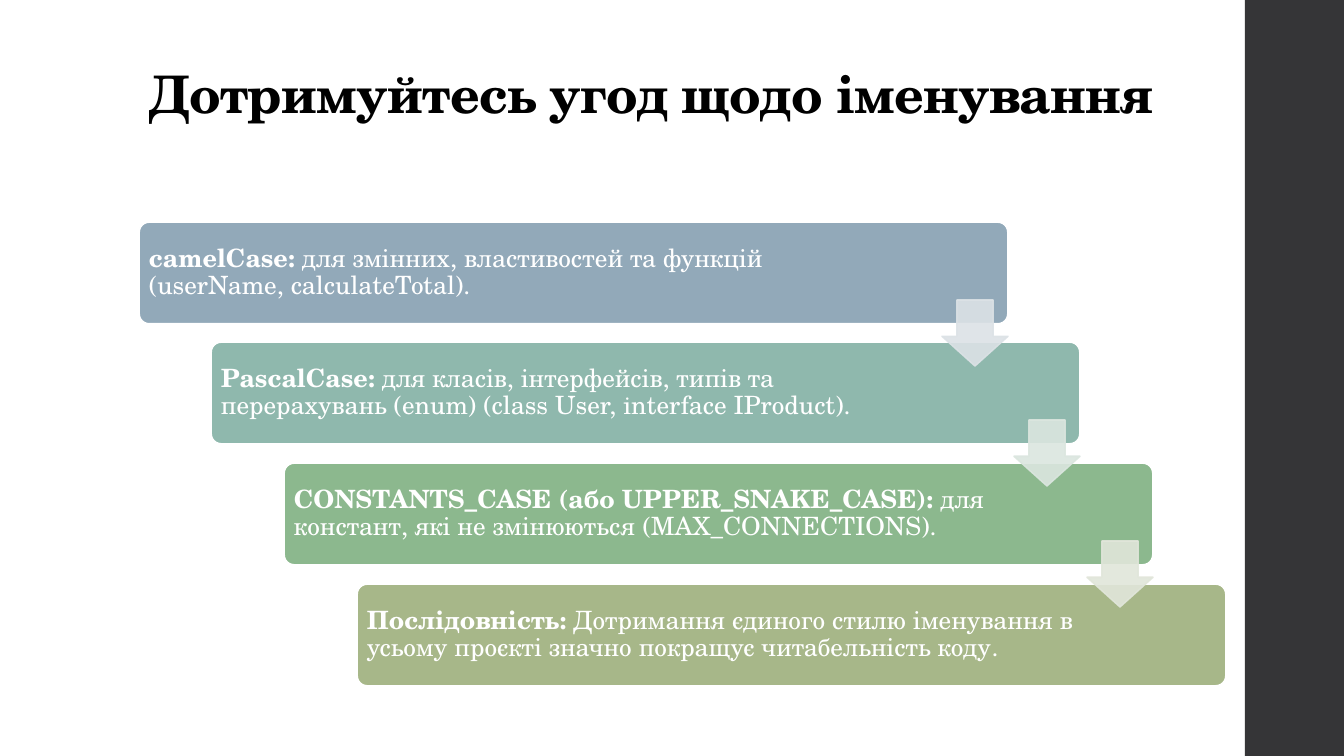
from dataclasses import dataclass

import lxml.etree
import pptx
import pptx.dml.color
import pptx.enum.shapes
import pptx.enum.text
import pptx.oxml.ns
import pptx.util

RGBColor = pptx.dml.color.RGBColor
MSO_SHAPE = pptx.enum.shapes.MSO_SHAPE

EMU_PER_PX = 914400 / 100.8
FONT = "TeX Gyre Schola"
WHITE = RGBColor(0xFF, 0xFF, 0xFF)
BLACK = RGBColor(0x00, 0x00, 0x00)
CHARCOAL = RGBColor(0x35, 0x35, 0x37)
BLUE_GREY = RGBColor(0x92, 0xA9, 0xB9)
TEAL = RGBColor(0x8F, 0xB8, 0xAD)
GREEN = RGBColor(0x8C, 0xB8, 0x8E)
OLIVE = RGBColor(0xA7, 0xB7, 0x89)
PALE_BLUE = RGBColor(0xDC, 0xE2, 0xE6)
PALE_TEAL = RGBColor(0xDB, 0xE6, 0xDF)
PALE_OLIVE = RGBColor(0xE1, 0xE6, 0xDA)

SLIDE_WIDTH, SLIDE_HEIGHT = 1344, 756
CARD_LEFT, CARD_TOP, CARD_WIDTH, CARD_HEIGHT = 139, 222, 869, 102
STAIRCASE_RUN, STAIRCASE_DROP = 218, 362
TEXT_INSET = 3
ARROW_DX, ARROW_DY, ARROW_SIZE = 803, 78, 66


@dataclass(frozen=True)
class Convention:
    term: str
    rule: str
    color: RGBColor
    text_width: int


CONVENTIONS = [
    Convention("camelCase: ", "для змінних, властивостей та функцій (userName, calculateTotal).",
               BLUE_GREY, 751),
    Convention("PascalCase: ",
               "для класів, інтерфейсів, типів та перерахувань (enum) (class User, interface IProduct).",
               TEAL, 725),
    Convention("CONSTANTS_CASE (або UPPER_SNAKE_CASE): ",
               "для констант, які не змінюються (MAX_CONNECTIONS).", GREEN, 726),
    Convention("Послідовність:",
               " Дотримання єдиного стилю іменування в усьому проєкті значно покращує читабельність коду.",
               OLIVE, 725),
]
ARROW_COLORS = [PALE_BLUE, PALE_TEAL, PALE_OLIVE]


def px(length: int) -> pptx.util.Emu:
    return pptx.util.Emu(round(length * EMU_PER_PX))


def card_origin(step: int) -> tuple[int, int]:
    last = len(CONVENTIONS) - 1
    return CARD_LEFT + step * STAIRCASE_RUN // last, CARD_TOP + step * STAIRCASE_DROP // last


def add_filled(slide: pptx.slide.Slide, kind: MSO_SHAPE, left: int, top: int,
               width: int, height: int, color: RGBColor) -> pptx.shapes.autoshape.Shape:
    shape = slide.shapes.add_shape(kind, px(left), px(top), px(width), px(height))
    shape.shadow.inherit = False
    shape.fill.solid()
    shape.fill.fore_color.rgb = color
    shape.line.fill.background()
    return shape


def outline(shape: pptx.shapes.autoshape.Shape, color: RGBColor, points: float) -> None:
    shape.line.color.rgb = color
    shape.line.width = pptx.util.Pt(points)


def style_run(run: pptx.text.text._Run, size: int, color: RGBColor, bold: bool) -> None:
    run.font.name = FONT
    run.font.size = pptx.util.Pt(size)
    run.font.color.rgb = color
    run.font.bold = bold


def add_title(slide: pptx.slide.Slide) -> None:
    title = slide.shapes.title
    title.left, title.top, title.width, title.height = px(139), px(40), px(1087), px(146)
    frame = title.text_frame
    frame.text = "Дотримуйтесь угод щодо іменування"
    frame.auto_size = pptx.enum.text.MSO_AUTO_SIZE.NONE
    frame.vertical_anchor = pptx.enum.text.MSO_ANCHOR.BOTTOM
    frame.margin_bottom = px(61)
    paragraph = frame.paragraphs[0]
    paragraph.alignment = pptx.enum.text.PP_ALIGN.LEFT
    paragraph.line_spacing = 0.9
    run = paragraph.runs[0]
    style_run(run, 37, BLACK, True)
    run.font._element.set("spc", "-50")


def add_card(slide: pptx.slide.Slide, step: int, convention: Convention) -> None:
    left, top = card_origin(step)
    card = add_filled(slide, MSO_SHAPE.ROUNDED_RECTANGLE, left, top,
                      CARD_WIDTH, CARD_HEIGHT, convention.color)
    card.adjustments[0] = 0.1
    outline(card, WHITE, 1.35)

    label = slide.shapes.add_textbox(px(left + TEXT_INSET), px(top + TEXT_INSET),
                                     px(convention.text_width), px(CARD_HEIGHT - 2 * TEXT_INSET))
    frame = label.text_frame
    frame.word_wrap = True
    frame.vertical_anchor = pptx.enum.text.MSO_ANCHOR.MIDDLE
    frame.margin_left = frame.margin_right = frame.margin_top = frame.margin_bottom = px(7)
    paragraph = frame.paragraphs[0]
    paragraph.text = convention.term
    paragraph.line_spacing = 0.9
    style_run(paragraph.runs[0], 18, WHITE, True)
    rule = paragraph.add_run()
    rule.text = convention.rule
    style_run(rule, 18, WHITE, False)


def add_arrow(slide: pptx.slide.Slide, step: int, color: RGBColor) -> None:
    left, top = card_origin(step)
    arrow = add_filled(slide, MSO_SHAPE.DOWN_ARROW, left + ARROW_DX, top + ARROW_DY,
                       ARROW_SIZE, ARROW_SIZE, color)
    arrow.adjustments[0] = 0.55
    arrow.adjustments[1] = 0.45
    outline(arrow, color, 1.1)
    for tint in arrow._element.spPr.iter(pptx.oxml.ns.qn("a:srgbClr")):
        lxml.etree.SubElement(tint, pptx.oxml.ns.qn("a:alpha"), val="90000")


def main() -> None:
    presentation = pptx.Presentation()
    presentation.slide_width, presentation.slide_height = px(SLIDE_WIDTH), px(SLIDE_HEIGHT)
    slide = presentation.slides.add_slide(presentation.slide_layouts.get_by_name("Title Only"))
    add_filled(slide, MSO_SHAPE.RECTANGLE, 1245, 0, SLIDE_WIDTH - 1245, SLIDE_HEIGHT, CHARCOAL)
    add_title(slide)
    for step, convention in enumerate(CONVENTIONS):
        add_card(slide, step, convention)
    for step, color in enumerate(ARROW_COLORS):
        add_arrow(slide, step, color)
    presentation.save("out.pptx")


if __name__ == "__main__":
    main()
